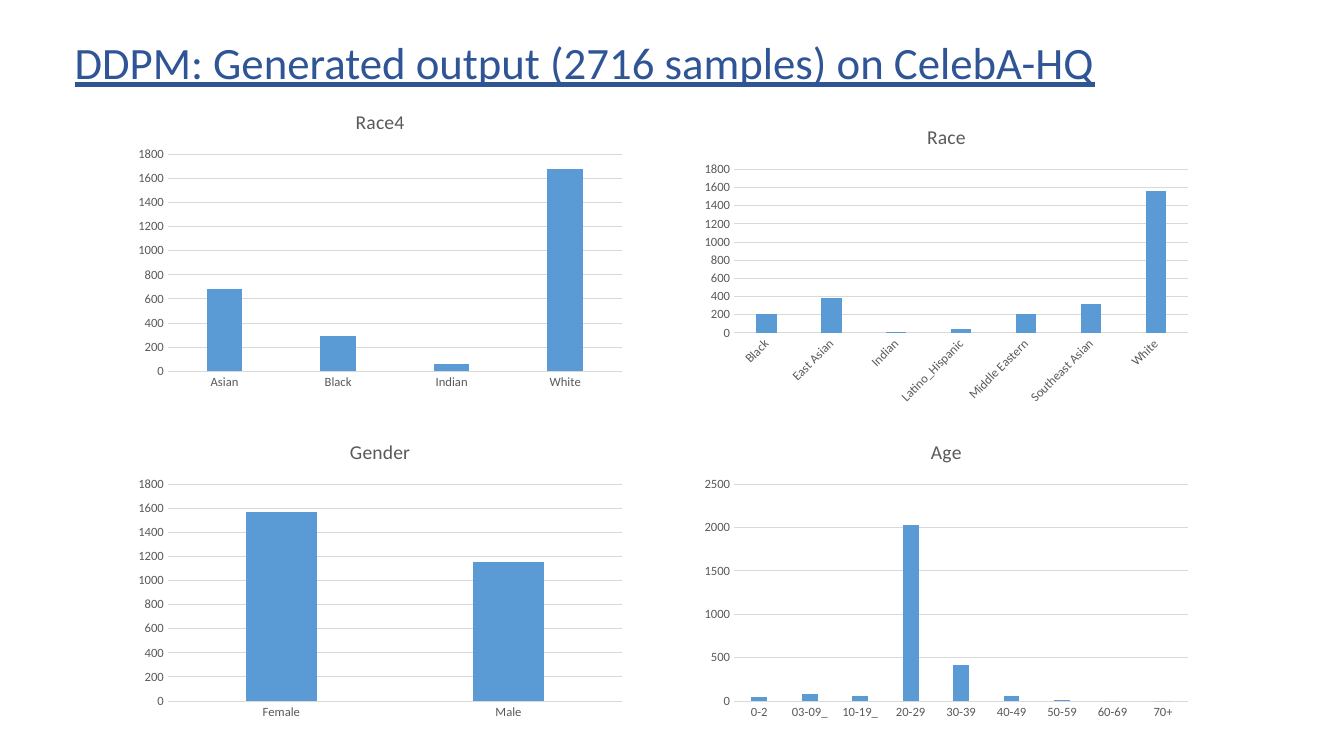
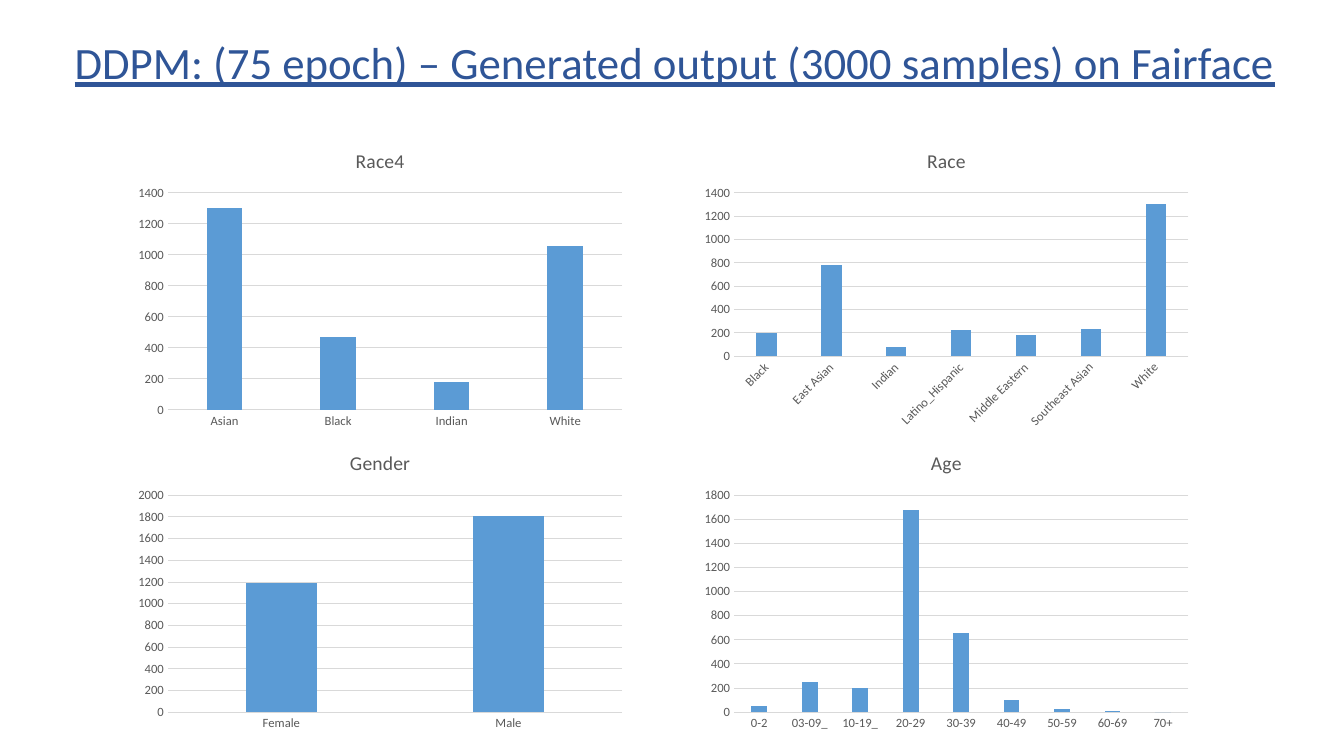
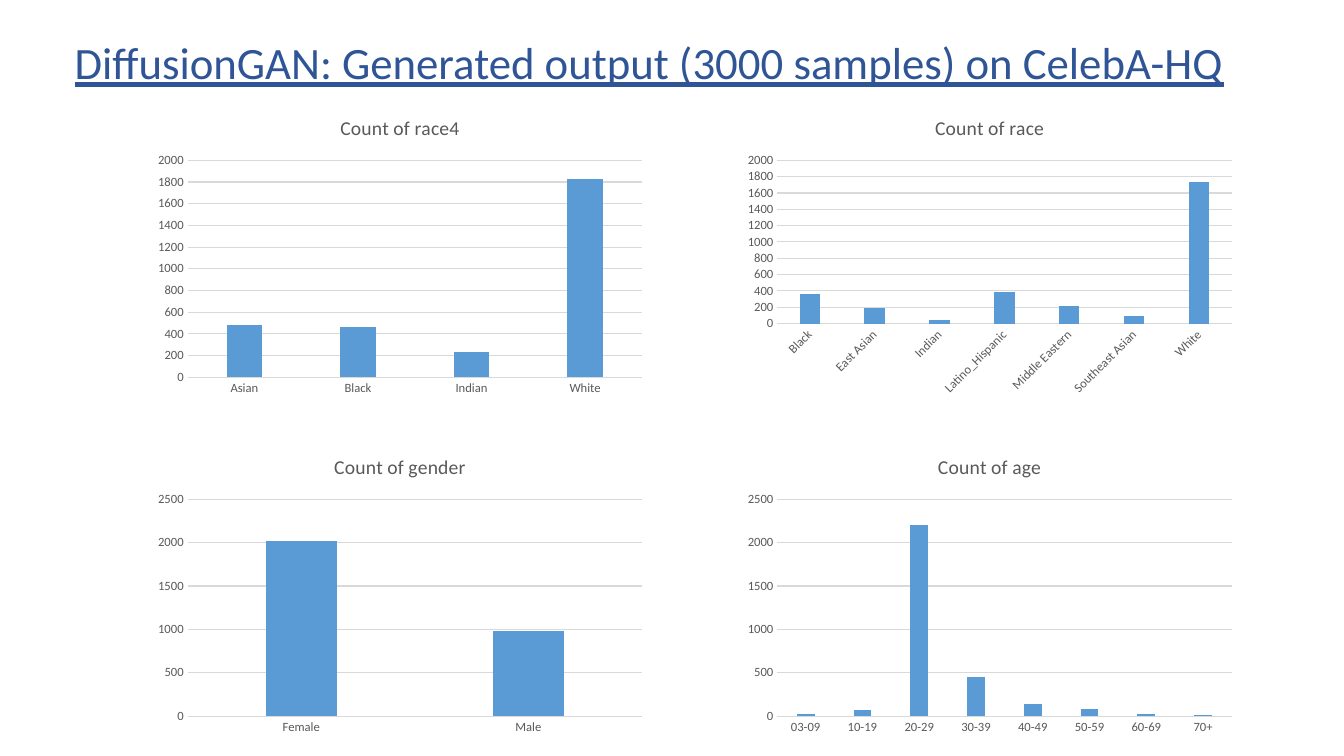
from collections import namedtuple
from dataclasses import dataclass

from pptx import Presentation
from pptx.chart.data import CategoryChartData
from pptx.dml.color import RGBColor
from pptx.enum.chart import XL_CHART_TYPE, XL_TICK_MARK
from pptx.enum.text import MSO_AUTO_SIZE
from pptx.util import Cm, Pt


@dataclass(frozen=True)
class Theme:
    font: str = "Calibri"
    title_color: RGBColor = RGBColor(0x2F, 0x55, 0x97)
    chart_text: RGBColor = RGBColor(0x59, 0x59, 0x59)
    grid: RGBColor = RGBColor(0xD9, 0xD9, 0xD9)
    bar: RGBColor = RGBColor(0x5B, 0x9B, 0xD5)
    title_size: Pt = Pt(32)
    chart_title_size: Pt = Pt(14)
    chart_size: Pt = Pt(10)
    axis_size: Pt = Pt(9)
    line_width: Pt = Pt(0.75)


THEME = Theme()
Box = namedtuple("Box", "left top width height")
Panel = namedtuple("Panel", "title series categories values")

# Category sets
RACE4 = ["Asian", "Black", "Indian", "White"]
RACE = ["Black", "East Asian", "Indian", "Latino_Hispanic",
        "Middle Eastern", "Southeast Asian", "White"]
GENDER = ["Female", "Male"]
AGE_FROM_20 = ["20-29", "30-39", "40-49", "50-59", "60-69", "70+"]
AGE_ALL = ["0-2", "03-09_", "10-19_"] + AGE_FROM_20
AGE_FROM_3 = ["03-09", "10-19"] + AGE_FROM_20

# Layout in centimetres
CHART_WIDTH, CHART_HEIGHT = 12.7, 7.62
TITLE_LEFT, TITLE_TOP, TITLE_HEIGHT = 1.63, 0.76, 1.63
LONG_LABEL = 8
AUTOMATIC_ROTATION, DIAGONAL_ROTATION = "-60000000", "-2700000"


def style_font(font, size, color):
    font.name, font.size, font.bold = THEME.font, size, False
    font.color.rgb = color


def style_line(line):
    line.color.rgb = THEME.grid
    line.width = THEME.line_width


def add_title(slide, text, box):
    shape = slide.shapes.add_textbox(*(Cm(length) for length in box))
    frame = shape.text_frame
    frame.word_wrap = True
    frame.auto_size = MSO_AUTO_SIZE.SHAPE_TO_FIT_TEXT
    run = frame.paragraphs[0].add_run()
    run.text = text
    style_font(run.font, THEME.title_size, THEME.title_color)
    run.font.underline = True


def style_axes(chart, categories):
    for axis in (chart.category_axis, chart.value_axis):
        axis.major_tick_mark = axis.minor_tick_mark = XL_TICK_MARK.NONE
        style_font(axis.tick_labels.font, THEME.axis_size, THEME.chart_text)
    style_line(chart.category_axis.format.line)
    chart.value_axis.format.line.fill.background()
    style_line(chart.value_axis.major_gridlines.format.line)

    # Long category names run diagonally
    is_long = max(map(len, categories)) > LONG_LABEL
    body = chart.category_axis._element.txPr.bodyPr
    body.set("rot", DIAGONAL_ROTATION if is_long else AUTOMATIC_ROTATION)
    body.set("vert", "horz")


def add_column_chart(slide, panel, box):
    data = CategoryChartData()
    data.categories = panel.categories
    data.add_series(panel.series, panel.values)
    chart = slide.shapes.add_chart(
        XL_CHART_TYPE.COLUMN_CLUSTERED, *(Cm(length) for length in box), data).chart
    chart.font.name, chart.font.size = THEME.font, THEME.chart_size
    chart.has_legend = False

    # Chart title
    chart.has_title = True
    chart.chart_title.include_in_layout = False
    run = chart.chart_title.text_frame.paragraphs[0].add_run()
    run.text = panel.title
    style_font(run.font, THEME.chart_title_size, THEME.chart_text)

    # Columns
    plot = chart.plots[0]
    plot.gap_width, plot.overlap, plot.vary_by_categories = 219, -27, False
    fill = plot.series[0].format.fill
    fill.solid()
    fill.fore_color.rgb = THEME.bar
    style_axes(chart, panel.categories)


def add_chart_slide(presentation, title, title_width, panels, lefts, tops):
    """Panels go row by row; tops has one value per panel."""
    slide = presentation.slides.add_slide(presentation.slide_layouts[6])
    add_title(slide, title, Box(TITLE_LEFT, TITLE_TOP, title_width, TITLE_HEIGHT))
    for index, (panel, top) in enumerate(zip(panels, tops)):
        box = Box(lefts[index % 2], top, CHART_WIDTH, CHART_HEIGHT)
        add_column_chart(slide, panel, box)


def make_panels(ages, values, counted=False):
    names = ["Race4", "Race", "Gender", "Age"]
    return [
        Panel(f"Count of {name.lower()}" if counted else name,
              "Series 1" if counted else name, categories, numbers)
        for name, categories, numbers in zip(names, [RACE4, RACE, GENDER, ages], values)
    ]


def main():
    presentation = Presentation()
    presentation.slide_width, presentation.slide_height = Cm(33.87), Cm(19.05)

    add_chart_slide(
        presentation, "DDPM: Generated output (2716 samples) on CelebA-HQ", 28.58,
        make_panels(AGE_ALL, [
            [680, 290, 60, 1680],
            [210, 380, 10, 40, 210, 320, 1560],
            [1570, 1150],
            [50, 80, 60, 2030, 410, 60, 10, 0, 0],
        ]),
        lefts=(3.23, 17.5), tops=(2.36, 2.74, 10.67, 10.67))

    add_chart_slide(
        presentation, "DDPM: (75 epoch) – Generated output (3000 samples) on Fairface", 31.37,
        make_panels(AGE_ALL, [
            [1300, 470, 180, 1060],
            [200, 780, 80, 220, 180, 230, 1300],
            [1190, 1810],
            [50, 250, 200, 1680, 660, 100, 30, 10, 0],
        ]),
        lefts=(3.23, 17.5), tops=(3.33, 3.33, 10.95, 10.95))

    add_chart_slide(
        presentation, "DiffusionGAN: Generated output (3000 samples) on CelebA-HQ", 30.4,
        make_panels(AGE_FROM_3, [
            [480, 460, 230, 1830],
            [360, 190, 40, 390, 210, 90, 1730],
            [2020, 980],
            [20, 70, 2200, 450, 140, 80, 30, 10],
        ], counted=True),
        lefts=(3.73, 18.59), tops=(2.51, 2.51, 11.05, 11.05))

    presentation.save("out.pptx")


if __name__ == "__main__":
    main()
